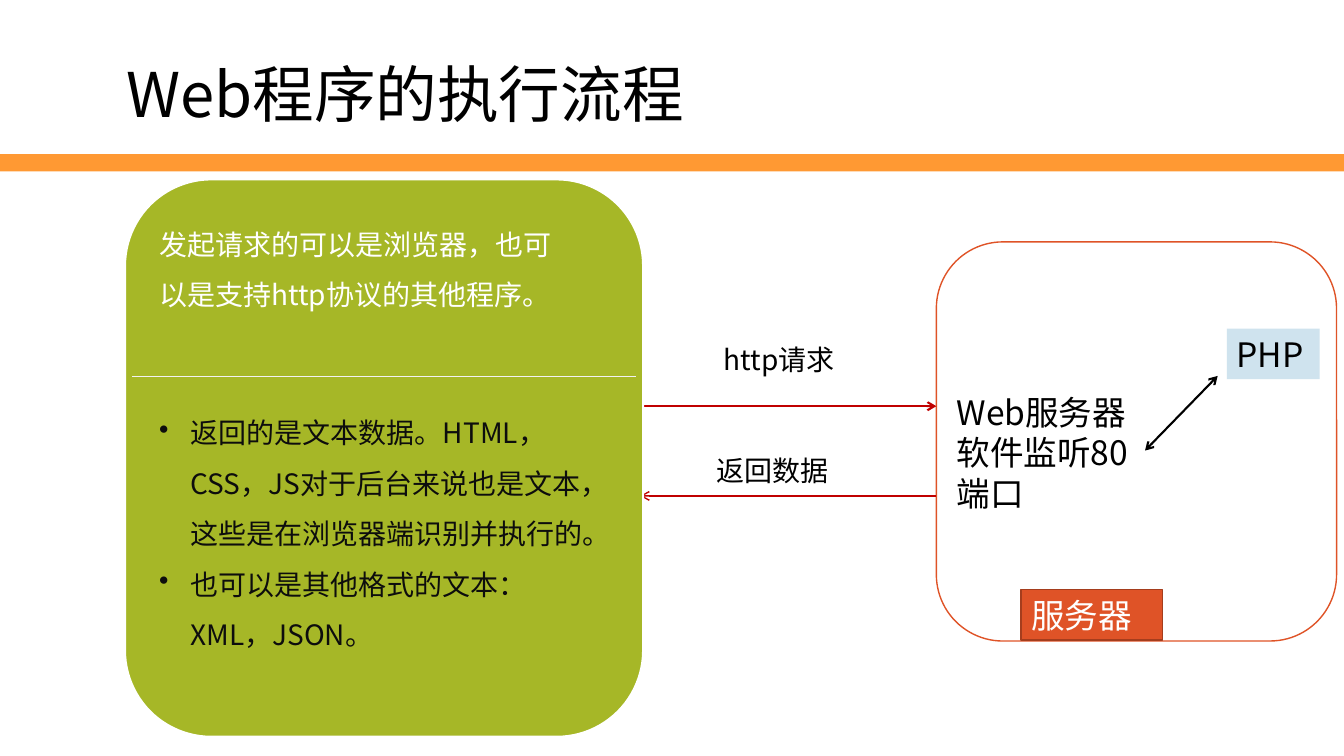
from dataclasses import dataclass

from lxml.etree import SubElement
from pptx import Presentation
from pptx.dml.color import RGBColor
from pptx.enum.shapes import MSO_CONNECTOR, MSO_SHAPE
from pptx.enum.text import MSO_ANCHOR, MSO_AUTO_SIZE, PP_ALIGN
from pptx.oxml.ns import qn
from pptx.util import Inches, Pt

WIDTH, HEIGHT = Inches(13.333), Inches(7.5)


@dataclass(frozen=True)
class Theme:
    font: str = "Noto Sans CJK SC"
    title: int = 44
    large: int = 24
    body: int = 20
    black: str = "000000"
    ink: str = "0D0D0D"
    white: str = "FFFFFF"
    pale: str = "F2F2F2"
    bar: str = "FF9933"
    server: str = "DF5327"
    server_edge: str = "A53D1D"
    client: str = "A6B727"
    php: str = "CFE3EE"
    flow: str = "C00000"


T = Theme()


@dataclass(frozen=True)
class Box:
    """Left, top, width and height in percent of the slide's size."""
    x: float
    y: float
    w: float
    h: float

    def emu(self) -> tuple[int, int, int, int]:
        return across(self.x), down(self.y), across(self.w), down(self.h)


@dataclass(frozen=True)
class Panel:
    box: Box
    fill: str
    line: str | None = None
    weight: float = 1
    rounded: bool = False


@dataclass(frozen=True)
class Label:
    box: Box
    paragraphs: tuple[str, ...]
    size: int = T.body
    color: str = T.black
    spacing: float = 1.0
    bullets: bool = False


@dataclass(frozen=True)
class Line:
    start: tuple[float, float]
    end: tuple[float, float]
    color: str
    weight: float
    heads: tuple[str, ...] = ()


def across(percent: float) -> int:
    return round(WIDTH * percent / 100)


def down(percent: float) -> int:
    return round(HEIGHT * percent / 100)


def rgb(color: str) -> RGBColor:
    return RGBColor.from_string(color)


def format_run(r, size: int, color: str) -> None:
    r.font.size, r.font.name = Pt(size), T.font
    r.font.color.rgb = rgb(color)
    SubElement(r._r.get_or_add_rPr(), qn("a:ea"), typeface=T.font)


def add_title(s, text: str, box: Box) -> None:
    sp = s.shapes.title
    sp.left, sp.top, sp.width, sp.height = box.emu()
    tf = sp.text_frame
    tf.text = text
    tf.auto_size, tf.vertical_anchor = MSO_AUTO_SIZE.NONE, MSO_ANCHOR.MIDDLE
    p = tf.paragraphs[0]
    p.alignment, p.line_spacing, p.space_before = PP_ALIGN.LEFT, 0.9, Pt(10)
    format_run(p.runs[0], T.title, T.black)


def add_panel(s, panel: Panel) -> None:
    kind = MSO_SHAPE.ROUNDED_RECTANGLE if panel.rounded else MSO_SHAPE.RECTANGLE
    sp = s.shapes.add_shape(kind, *panel.box.emu())
    sp.shadow.inherit = False
    sp.fill.solid()
    sp.fill.fore_color.rgb = rgb(panel.fill)
    if panel.line:
        sp.line.color.rgb, sp.line.width = rgb(panel.line), Pt(panel.weight)
    else:
        sp.line.fill.background()
    return sp


def write(sp, label: Label) -> None:
    tf = sp.text_frame
    tf.text = "\n".join(label.paragraphs)
    tf.word_wrap, tf.auto_size = True, MSO_AUTO_SIZE.SHAPE_TO_FIT_TEXT
    tf.vertical_anchor = MSO_ANCHOR.TOP
    for p in tf.paragraphs:
        p.alignment, p.line_spacing = PP_ALIGN.LEFT, label.spacing
        if label.bullets:
            pPr = p._p.get_or_add_pPr()
            indent = Inches(0.31)
            pPr.set("marL", str(indent))
            pPr.set("indent", str(-indent))
            SubElement(pPr, qn("a:buChar"), char="•")
        format_run(p.runs[0], label.size, label.color)


def add_label(s, label: Label) -> None:
    write(s.shapes.add_textbox(*label.box.emu()), label)


def add_tag(s, panel: Panel, text: str, color: str) -> None:
    """Draw a filled panel that carries its own large text."""
    write(add_panel(s, panel), Label(panel.box, (text,), T.large, color))


def add_line(s, line: Line) -> None:
    (x1, y1), (x2, y2) = line.start, line.end
    cx = s.shapes.add_connector(MSO_CONNECTOR.STRAIGHT, across(x1), down(y1),
                                across(x2), down(y2))
    cx.line.color.rgb, cx.line.width = rgb(line.color), Pt(line.weight)
    for head in line.heads:
        SubElement(cx.line._get_or_add_ln(), qn(f"a:{head}"), type="arrow")
    SubElement(cx._element.spPr, qn("a:effectLst"))


CLIENT_EDGE, SERVER_EDGE, TEXT_LEFT = 47.63, 69.67, 11.1
REQUEST_Y, REPLY_Y, DIVIDER_Y = 53.73, 65.6, 49.73

BAR = Panel(Box(0, 20.4, 100, 2.27), T.bar)
SERVER = Panel(Box(SERVER_EDGE, 32, 29.78, 52.8), T.white, T.server, rounded=True)
SERVER_TAG = Panel(Box(75.98, 78, 10.5, 6.67), T.server, T.server_edge)
PHP_TAG = Panel(Box(91.28, 43.47, 6.9, 6.67), T.php)
CLIENT = Panel(Box(9.3, 23.73, 38.55, 73.73), T.client, T.white, 1.5, True)

SERVER_LABEL = Label(Box(70.43, 51.2, 15.3, 17.47),
                     ("Web服务器软件监听80端口",), T.large)
FLOW_LABELS = (
    Label(Box(53.1, 44.67, 11.85, 5.87), ("http请求",)),
    Label(Box(52.58, 59.33, 11.7, 5.87), ("返回数据",)),
)
CLIENT_LABELS = (
    Label(Box(TEXT_LEFT, 27.2, 31.5, 14),
          ("发起请求的可以是浏览器，也可以是支持http协议的其他程序。",),
          color=T.white, spacing=1.5),
    Label(Box(TEXT_LEFT, 52.13, 33.68, 35.07),
          ("返回的是文本数据。HTML，CSS，JS对于后台来说也是文本，这些是在浏览器端识别并执行的。",
           "也可以是其他格式的文本：XML，JSON。"),
          color=T.ink, spacing=1.5, bullets=True),
)
ARROWS = (
    Line((90.6, 49.73), (85.2, 59.6), T.black, 1.5, ("headEnd", "tailEnd")),
    Line((CLIENT_EDGE, REQUEST_Y), (SERVER_EDGE, REQUEST_Y), T.flow, 1.5, ("tailEnd",)),
    Line((SERVER_EDGE, REPLY_Y), (CLIENT_EDGE, REPLY_Y), T.flow, 1, ("tailEnd",)),
)
DIVIDER = Line((9.83, DIVIDER_Y), (47.33, DIVIDER_Y), T.pale, 0.5)


def main() -> None:
    prs = Presentation()
    prs.slide_width, prs.slide_height = WIDTH, HEIGHT
    s = prs.slides.add_slide(prs.slide_layouts.get_by_name("Title Only"))
    add_panel(s, BAR)
    add_title(s, "Web程序的执行流程", Box(8.63, 7.87, 51.45, 10))
    add_panel(s, SERVER)
    add_tag(s, SERVER_TAG, "服务器", T.white)
    add_label(s, SERVER_LABEL)
    add_tag(s, PHP_TAG, "PHP", T.black)
    for arrow in ARROWS:
        add_line(s, arrow)
    for label in FLOW_LABELS:
        add_label(s, label)
    add_panel(s, CLIENT)
    add_line(s, DIVIDER)
    for label in CLIENT_LABELS:
        add_label(s, label)
    prs.save("out.pptx")


if __name__ == "__main__":
    main()
